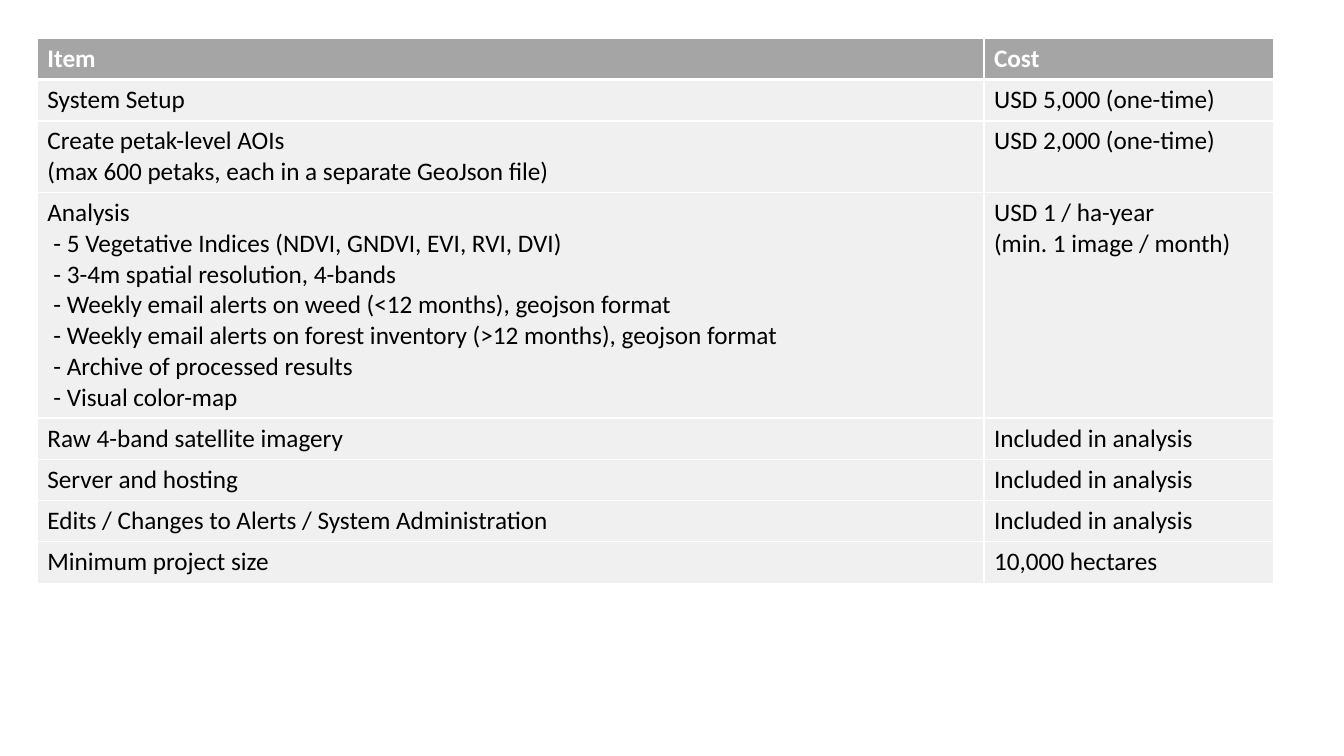
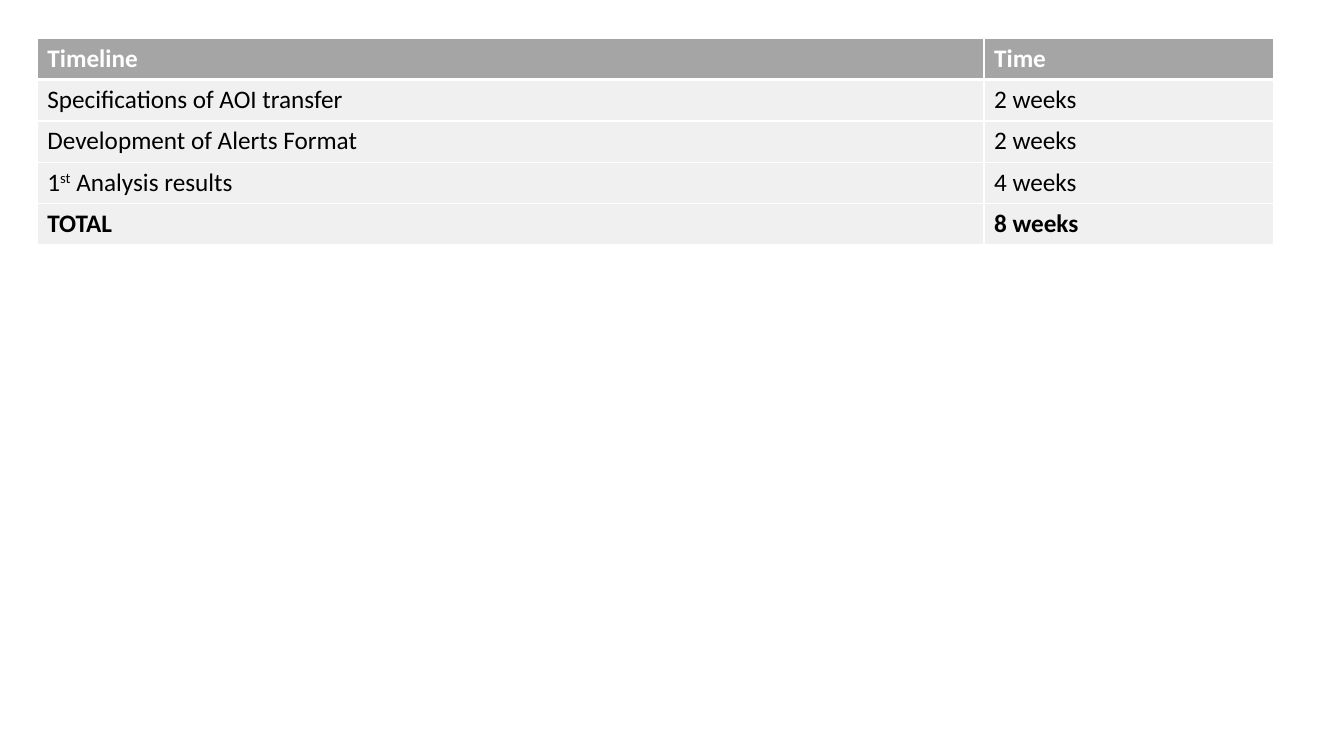
from dataclasses import dataclass

from lxml.etree import SubElement
from pptx import Presentation
from pptx.dml.color import RGBColor
from pptx.oxml.ns import qn
from pptx.presentation import Presentation as Deck
from pptx.table import _Cell as Cell
from pptx.text.text import _Paragraph as Paragraph
from pptx.util import Inches, Pt

WHITE = RGBColor(0xFF, 0xFF, 0xFF)
BLACK = RGBColor(0x00, 0x00, 0x00)
HEADER_GRAY = RGBColor(0xA5, 0xA5, 0xA5)
BODY_GRAY = RGBColor(0xF0, 0xF0, 0xF0)

FONT_NAME = "Calibri"
FONT_SIZE = Pt(18)
PAGE_WIDTH, PAGE_HEIGHT = Inches(13.33), Inches(7.5)
TABLE_LEFT, TABLE_TOP = Inches(0.37), Inches(0.38)
COLUMN_WIDTHS = (Inches(9.39), Inches(2.87))
ROW_HEIGHT = Inches(0.41)
DASH_INDENT = Inches(0.06)
THIN, THICK = Pt(1), Pt(3)
BLANK_LAYOUT = 6


@dataclass(frozen=True)
class Span:
    text: str
    superscript: bool = False


Line = str | tuple[Span, ...]


@dataclass(frozen=True)
class Row:
    left: tuple[Line, ...]
    right: tuple[Line, ...]
    bold: bool = False


@dataclass(frozen=True)
class Look:
    fill: RGBColor
    ink: RGBColor
    bold: bool
    top: int
    bottom: int


COSTS = (
    Row(("Item",), ("Cost",), bold=True),
    Row(("System Setup",), ("USD 5,000 (one-time)",)),
    Row(
        ("Create petak-level AOIs", "(max 600 petaks, each in a separate GeoJson file)"),
        ("USD 2,000 (one-time)",),
    ),
    Row(
        (
            "Analysis",
            "- 5 Vegetative Indices (NDVI, GNDVI, EVI, RVI, DVI)",
            "- 3-4m spatial resolution, 4-bands",
            "- Weekly email alerts on weed (<12 months), geojson format",
            "- Weekly email alerts on forest inventory (>12 months), geojson format",
            "- Archive of processed results",
            "- Visual color-map",
        ),
        ("USD 1 / ha-year", "(min. 1 image / month)"),
    ),
    Row(("Raw 4-band satellite imagery",), ("Included in analysis",)),
    Row(("Server and hosting",), ("Included in analysis",)),
    Row(("Edits / Changes to Alerts / System Administration",), ("Included in analysis",)),
    Row(("Minimum project size",), ("10,000 hectares",)),
)

TIMELINE = (
    Row(("Timeline",), ("Time",), bold=True),
    Row(("Specifications of AOI transfer",), ("2 weeks",)),
    Row(("Development of Alerts Format",), ("2 weeks",)),
    Row(
        ((Span("1"), Span("st", superscript=True), Span(" Analysis results")),),
        ("4 weeks",),
    ),
    Row(("TOTAL",), ("8 weeks",), bold=True),
)


def row_look(index: int, row: Row) -> Look:
    if index == 0:
        return Look(HEADER_GRAY, WHITE, row.bold, THIN, THICK)
    return Look(BODY_GRAY, BLACK, row.bold, THICK if index == 1 else THIN, THIN)


def set_borders(cell: Cell, look: Look) -> None:
    properties = cell._tc.get_or_add_tcPr()
    widths = {"a:lnL": THIN, "a:lnR": THIN, "a:lnT": look.top, "a:lnB": look.bottom}
    for position, (tag, width) in enumerate(widths.items()):
        border = SubElement(properties, qn(tag), w=str(int(width)))
        fill = SubElement(border, qn("a:solidFill"))
        SubElement(fill, qn("a:srgbClr"), val=str(WHITE))
        properties.insert(position, border)


def write_line(para: Paragraph, line: Line, look: Look) -> None:
    para.font.name = FONT_NAME
    para.font.size = FONT_SIZE
    para.font.color.rgb = look.ink
    spans = (Span(line),) if isinstance(line, str) else line
    if spans[0].text.startswith("- "):
        para._p.get_or_add_pPr().set("marL", str(int(DASH_INDENT)))
    for span in spans:
        run = para.add_run()
        run.text = span.text
        run.font.bold = look.bold
        if span.superscript:
            run.font._element.set("baseline", "30000")


def fill_cell(cell: Cell, lines: tuple[Line, ...], look: Look) -> None:
    cell.fill.solid()
    cell.fill.fore_color.rgb = look.fill
    set_borders(cell, look)
    frame = cell.text_frame
    for index, line in enumerate(lines):
        para = frame.add_paragraph() if index else frame.paragraphs[0]
        write_line(para, line, look)


def add_table_page(deck: Deck, rows: tuple[Row, ...]) -> None:
    page = deck.slides.add_slide(deck.slide_layouts[BLANK_LAYOUT])
    table = page.shapes.add_table(
        len(rows),
        len(COLUMN_WIDTHS),
        TABLE_LEFT,
        TABLE_TOP,
        sum(COLUMN_WIDTHS),
        ROW_HEIGHT * len(rows),
    ).table
    table.horz_banding = False
    for column, width in zip(table.columns, COLUMN_WIDTHS):
        column.width = width
    for index, row in enumerate(rows):
        table.rows[index].height = ROW_HEIGHT
        look = row_look(index, row)
        for column_index, lines in enumerate((row.left, row.right)):
            fill_cell(table.cell(index, column_index), lines, look)


def main() -> None:
    deck = Presentation()
    deck.slide_width, deck.slide_height = PAGE_WIDTH, PAGE_HEIGHT
    for rows in (COSTS, TIMELINE):
        add_table_page(deck, rows)
    deck.save("out.pptx")


if __name__ == "__main__":
    main()
